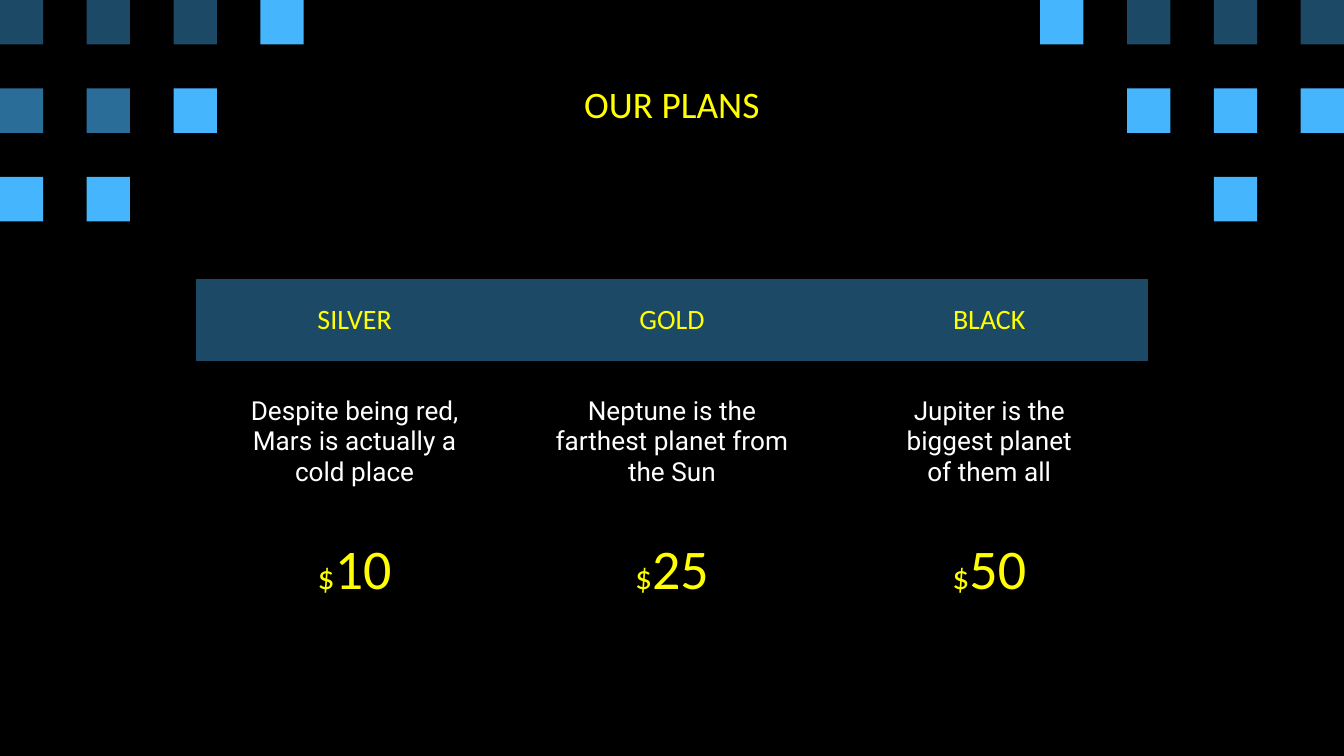
from pptx import Presentation
from pptx.dml.color import RGBColor
from pptx.enum.shapes import MSO_SHAPE
from pptx.enum.text import MSO_ANCHOR, PP_ALIGN
from pptx.oxml.ns import qn
from pptx.util import Pt

RECT = MSO_SHAPE.RECTANGLE
MIDDLE = MSO_ANCHOR.MIDDLE
CENTER = PP_ALIGN.CENTER
NO_GRID_STYLE = "{2D5ABB26-0587-4C30-8999-92F81FD0307C}"
NAVY, STEEL, SKY = "1C4966", "296D98", "45B6FE"
YELLOW, WHITE, BLACK = "FFFF00", "FFFFFF", "000000"
INSET = Pt(7.2)


def rgb(value):
    return RGBColor.from_string(value)


def add_run(p, text, size, font="Calibri", color=YELLOW):
    p.alignment = CENTER
    r = p.add_run()
    r.text = text
    r.font.size = Pt(size)
    r.font.name = font
    r.font.color.rgb = rgb(color)


prs = Presentation()
prs.slide_width, prs.slide_height = Pt(720), Pt(405)
s = prs.slides.add_slide(prs.slide_layouts[6])
s.background.fill.solid()
s.background.fill.fore_color.rgb = rgb(BLACK)

# Corner squares: left edge of each group, then colours by row and column
SIZE_X, SIZE_Y, STEP_X, STEP_Y = 23.2, 23.8, 46.5, 47.4
corners = [
    (0, [[NAVY, NAVY, NAVY, SKY], [STEEL, STEEL, SKY], [SKY, SKY]]),
    (557.3, [[SKY, NAVY, NAVY, NAVY], [None, SKY, SKY, SKY], [None, None, SKY]]),
]
for left, rows in corners:
    for i, colors in enumerate(rows):
        for j, color in enumerate(colors):
            if color is None:
                continue
            sp = s.shapes.add_shape(RECT, Pt(left + j * STEP_X), Pt(i * STEP_Y),
                                    Pt(SIZE_X), Pt(SIZE_Y))
            sp.shadow.inherit = False
            sp.fill.solid()
            sp.fill.fore_color.rgb = rgb(color)
            sp.line.fill.background()

# Title
sp = s.shapes.add_textbox(Pt(56.5), Pt(42.5), Pt(607), Pt(26))
tf = sp.text_frame
tf.word_wrap = True
tf.vertical_anchor = MIDDLE
tf.margin_left = tf.margin_right = tf.margin_top = tf.margin_bottom = INSET
add_run(tf.paragraphs[0], "OUR PLANS", 20)

# Plans table
plans = [
    ("SILVER", ["Despite being red,", "Mars is actually a cold place"], "10"),
    ("GOLD", ["Neptune is the farthest planet from the Sun"], "25"),
    ("BLACK", ["Jupiter is the biggest planet", "of them all"], "50"),
]
heights = [44, 86.4, 39]
table = s.shapes.add_table(3, 3, Pt(105), Pt(149.6), Pt(510), Pt(sum(heights))).table
table.first_row = table.horz_banding = False
table._tbl.tblPr.find(qn("a:tableStyleId")).text = NO_GRID_STYLE
for row, height in zip(table.rows, heights):
    row.height = Pt(height)

for j, (name, lines, price) in enumerate(plans):
    table.columns[j].width = Pt(170)
    header, body, cost = [table.cell(i, j) for i in range(3)]
    for cell in (header, body, cost):
        cell.vertical_anchor = MIDDLE
        cell.margin_left = cell.margin_right = INSET
        cell.margin_top = cell.margin_bottom = INSET
        cell.fill.background()
    header.fill.solid()
    header.fill.fore_color.rgb = rgb(NAVY)
    add_run(header.text_frame.paragraphs[0], name, 15)

    # Description, indented on both sides
    tf = body.text_frame
    for i, line in enumerate(lines):
        p = tf.add_paragraph() if i else tf.paragraphs[0]
        pPr = p._p.get_or_add_pPr()
        pPr.set("marL", str(Pt(14.4)))
        pPr.set("marR", str(Pt(14.4)))
        add_run(p, line, 14, "Roboto", WHITE)

    # Price with a smaller currency sign
    p = cost.text_frame.paragraphs[0]
    add_run(p, "$", 18)
    add_run(p, price, 30)

prs.save("out.pptx")
